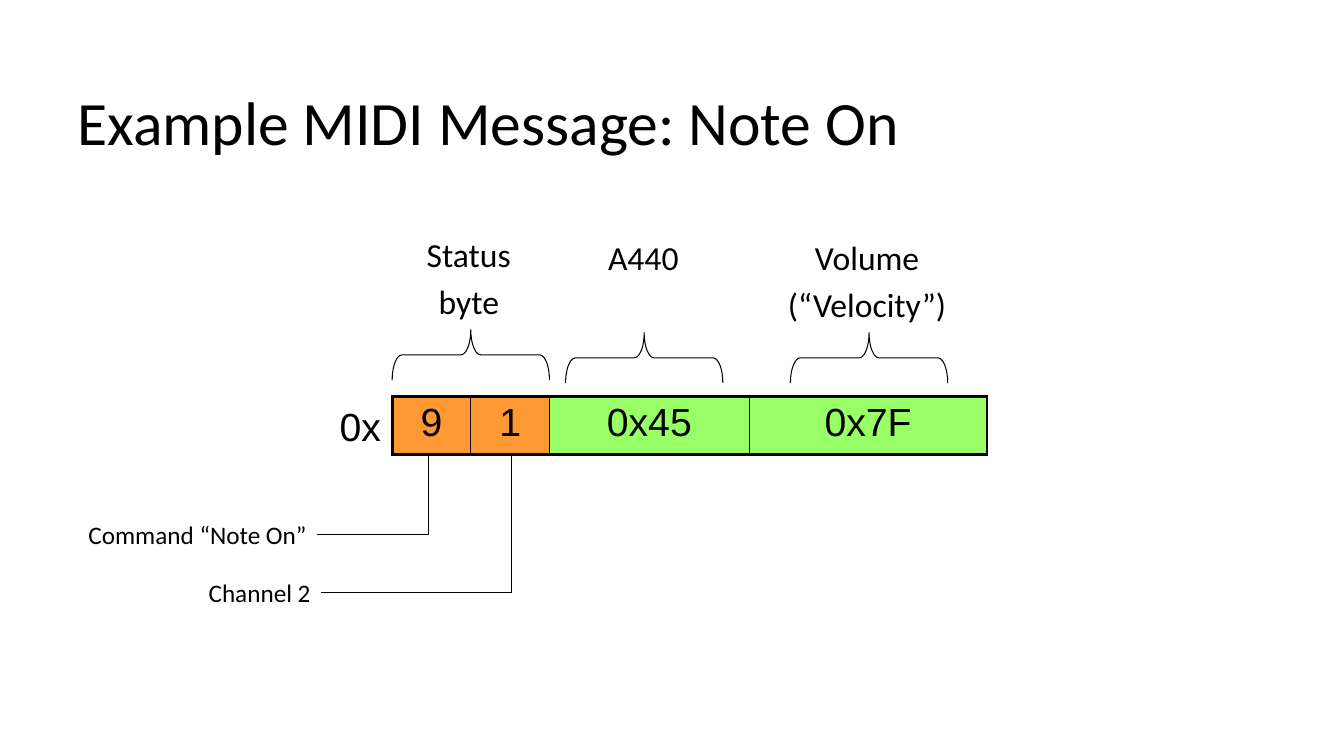
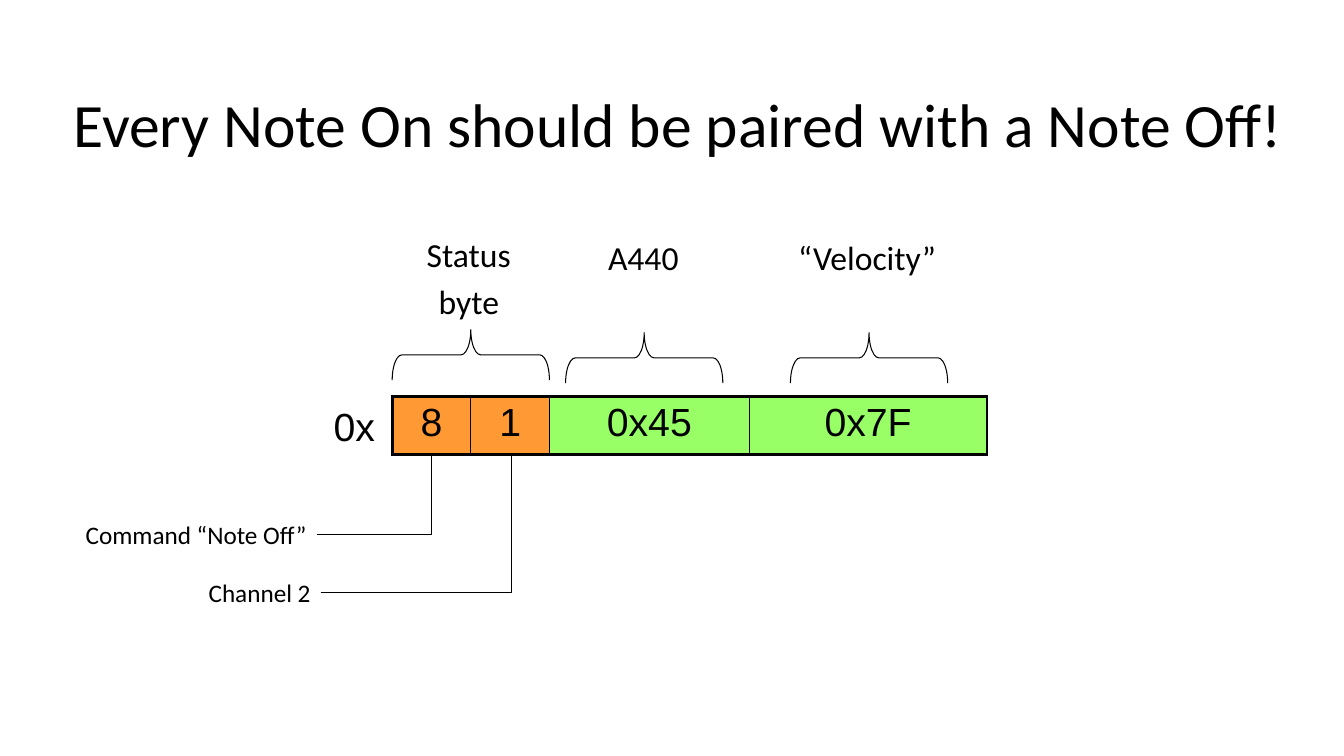
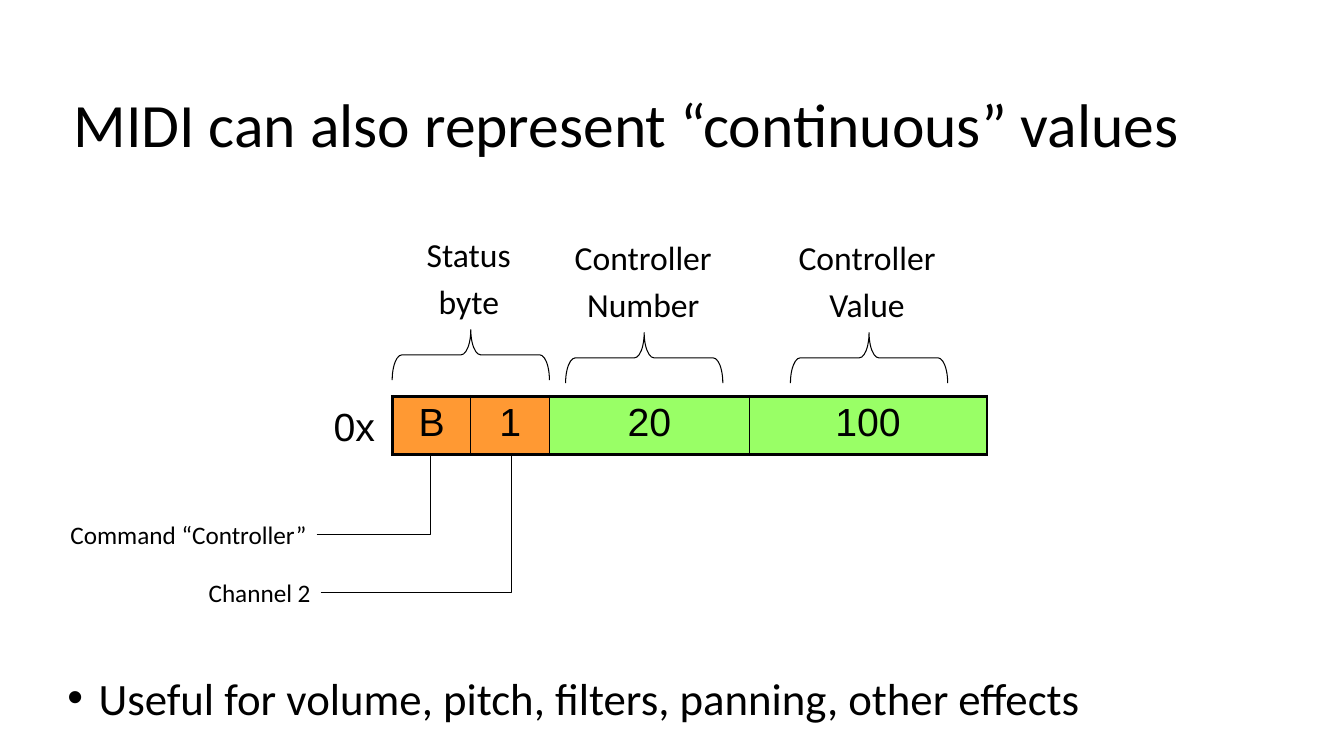
from dataclasses import dataclass

from lxml.etree import SubElement
from pptx import Presentation
from pptx.dml.color import RGBColor
from pptx.enum.shapes import MSO_CONNECTOR, MSO_SHAPE
from pptx.enum.text import MSO_ANCHOR, MSO_AUTO_SIZE, PP_ALIGN
from pptx.oxml import parse_xml
from pptx.oxml.ns import nsdecls, qn
from pptx.util import Inches, Pt


@dataclass(frozen=True)
class Theme:
    ink: str = "000000"
    status: str = "FF9933"
    data: str = "99FF66"
    sans: str = "Calibri"
    code: str = "Arial"
    title: int = 44
    bullet: int = 32
    byte: int = 28
    label: int = 24
    note: int = 18
    thin: float = 0.75
    inner: float = 1
    outer: float = 2.25


class Deck:
    """Holds the theme and the slide being drawn."""

    def __init__(self, theme):
        self.theme = theme
        self.show = Presentation()
        self.show.slide_width = Inches(13.33)
        self.show.slide_height = Inches(7.5)
        self.ink = RGBColor.from_string(theme.ink)

    def page(self):
        self.shapes = self.show.slides.add_slide(self.show.slide_layouts[6]).shapes

    def style(self, para, size, font, align, gap):
        """Set the font; gap is the space before, as a share of the size."""
        para.font.size = Pt(size)
        para.font.name = font
        para.font.color.rgb = self.ink
        para.alignment = align
        para.space_before = Pt(size * gap)

    def text(self, words, box, size, font=None, align=PP_ALIGN.LEFT, gap=0.0, wrap=False):
        frame = self.shapes.add_textbox(*map(Inches, box)).text_frame
        frame.word_wrap = wrap
        frame.auto_size = MSO_AUTO_SIZE.NONE if wrap else MSO_AUTO_SIZE.SHAPE_TO_FIT_TEXT
        frame.text = words
        for para in frame.paragraphs:
            self.style(para, size, font or self.theme.sans, align, gap)
        return frame

    def title(self, words, box):
        frame = self.text(words, box, self.theme.title, wrap=True)
        frame.vertical_anchor = MSO_ANCHOR.MIDDLE
        frame.paragraphs[0].line_spacing = 0.9

    def bullet(self, words, box):
        frame = self.text(words, box, self.theme.bullet)
        props = frame.paragraphs[0]._p.get_or_add_pPr()
        props.set("marL", str(Inches(0.31)))
        props.set("indent", str(Inches(-0.31)))
        SubElement(props, qn("a:buFont"), typeface=self.theme.code)
        SubElement(props, qn("a:buChar"), char="•")

    def label(self, words, mid, top, width):
        """Centre one or two lines over a brace."""
        height = 0.01 + 0.49 * len(words.split("\n"))
        self.text(words, (mid - width / 2, top, width, height),
                  self.theme.label, align=PP_ALIGN.CENTER, gap=0.2)

    def note(self, words, right, top, width):
        self.text(words, (right - width, top, width, 0.4),
                  self.theme.note, align=PP_ALIGN.RIGHT, gap=0.2)

    def brace(self, mid, top):
        """Draw a brace that opens downwards."""
        wide, high = 0.5, 1.56
        left, upper = mid - wide / 2, top - (high - wide) / 2
        shape = self.shapes.add_shape(
            MSO_SHAPE.RIGHT_BRACE, *map(Inches, (left, upper, wide, high)))
        shape.rotation = 270
        shape.adjustments[0] = 0.194
        shape.shadow.inherit = False
        shape.fill.background()
        shape.line.color.rgb = self.ink
        shape.line.width = Pt(self.theme.thin)

    def elbow(self, start, end, bend):
        """Join two points; bend is the share of the width before the turn."""
        line = self.shapes.add_connector(
            MSO_CONNECTOR.ELBOW, *map(Inches, (*start, *end)))
        line.line.color.rgb = self.ink
        line.line.width = Pt(self.theme.thin)
        props = line._element.spPr
        SubElement(props, qn("a:effectLst"))
        guides = props.find(qn("a:prstGeom")).get_or_add_avLst()
        SubElement(guides, qn("a:gd"), name="adj1", fmla=f"val {round(bend * 100000)}")

    def edge(self, cell, sides):
        """Set the border widths, given as left, right, top, bottom."""
        props = cell._tc.get_or_add_tcPr()
        for spot, (side, width) in enumerate(zip("LRTB", sides)):
            props.insert(spot, parse_xml(
                f'<a:ln{side} {nsdecls("a")} w="{Pt(width)}"><a:solidFill>'
                f'<a:srgbClr val="{self.theme.ink}"/></a:solidFill></a:ln{side}>'))

    def bytes(self, values):
        theme = self.theme
        widths = (0.78, 0.78, 1.98, 2.36)
        fills = (theme.status, theme.status, theme.data, theme.data)
        table = self.shapes.add_table(
            1, len(values), *map(Inches, (3.89, 3.93, sum(widths), 0.58))).table
        table.first_row = table.horz_banding = False
        last = len(values) - 1
        for col, (value, width, fill) in enumerate(zip(values, widths, fills)):
            table.columns[col].width = Inches(width)
            cell = table.cell(0, col)
            cell.text = value
            cell.margin_left = cell.margin_right = Inches(0.13)
            cell.margin_top = cell.margin_bottom = Inches(0.05)
            cell.fill.solid()
            cell.fill.fore_color.rgb = RGBColor.from_string(fill)
            self.style(cell.text_frame.paragraphs[0], theme.byte, theme.code,
                       PP_ALIGN.CENTER, 0.2)
            self.edge(cell, (theme.outer if col == 0 else theme.inner,
                             theme.outer if col == last else theme.inner,
                             theme.outer, theme.outer))

    def message(self, values, command, size, bend, first, second, prefix):
        """Draw a MIDI message; first and second are (words, width) of the data labels."""
        self.bytes(values)
        labels = (("Status\nbyte", 1.04), first, second)
        spots = ((4.67, 4.65, 3.27), (6.39, 6.38, 3.3), (8.62, 8.6, 3.3))
        for (words, width), (mid, center, top) in zip(labels, spots):
            self.brace(mid, top)
            self.label(words, center, top - 1, width)
        self.elbow((3.14, 5.3), (4.28, 4.52), bend)
        self.elbow((3.18, 5.88), (5.06, 4.52), 1.007)
        self.note("Channel 2", 3.18, 5.68, 1.23)
        self.note(f"Command “{command}”", 3.14, 5.1, size)
        self.text("0x", (prefix, 3.94, 0.62, 0.57), self.theme.byte, self.theme.code)


def main():
    deck = Deck(Theme())
    wide = (0.63, 0.52, 12.4, 1.5)

    deck.page()
    deck.title("Example MIDI Message: Note On", (0.67, 0.5, 12, 1.5))
    deck.message(("9", "1", "0x45", "0x7F"), "Note On", 2.39, 0.974,
                 ("A440", 0.91), ("Volume\n(“Velocity”)", 1.79), 3.27)

    deck.page()
    deck.title("Every Note On should be paired with a Note Off!", wide)
    deck.message(("8", "1", "0x45", "0x7F"), "Note Off", 2.42, 1.002,
                 ("A440", 0.91), ("“Velocity”", 1.58), 3.21)

    deck.page()
    deck.title("MIDI can also represent “continuous” values", wide)
    deck.message(("B", "1", "20", "100"), "Controller", 2.57, 0.988,
                 ("Controller\nNumber", 1.57), ("Controller\nValue", 1.57), 3.21)
    deck.bullet("Useful for volume, pitch, filters, panning, other effects",
                (0.57, 6.6, 10.36, 0.64))

    deck.show.save("out.pptx")


if __name__ == "__main__":
    main()
